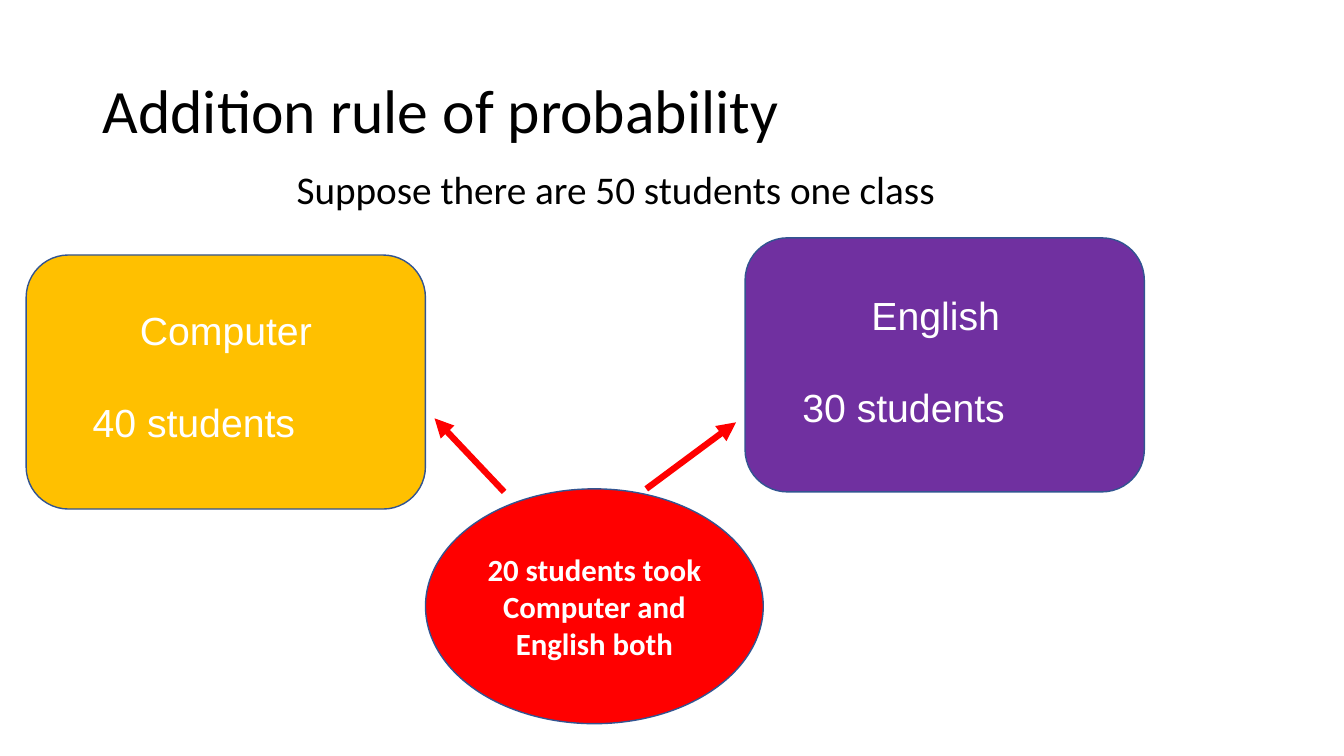
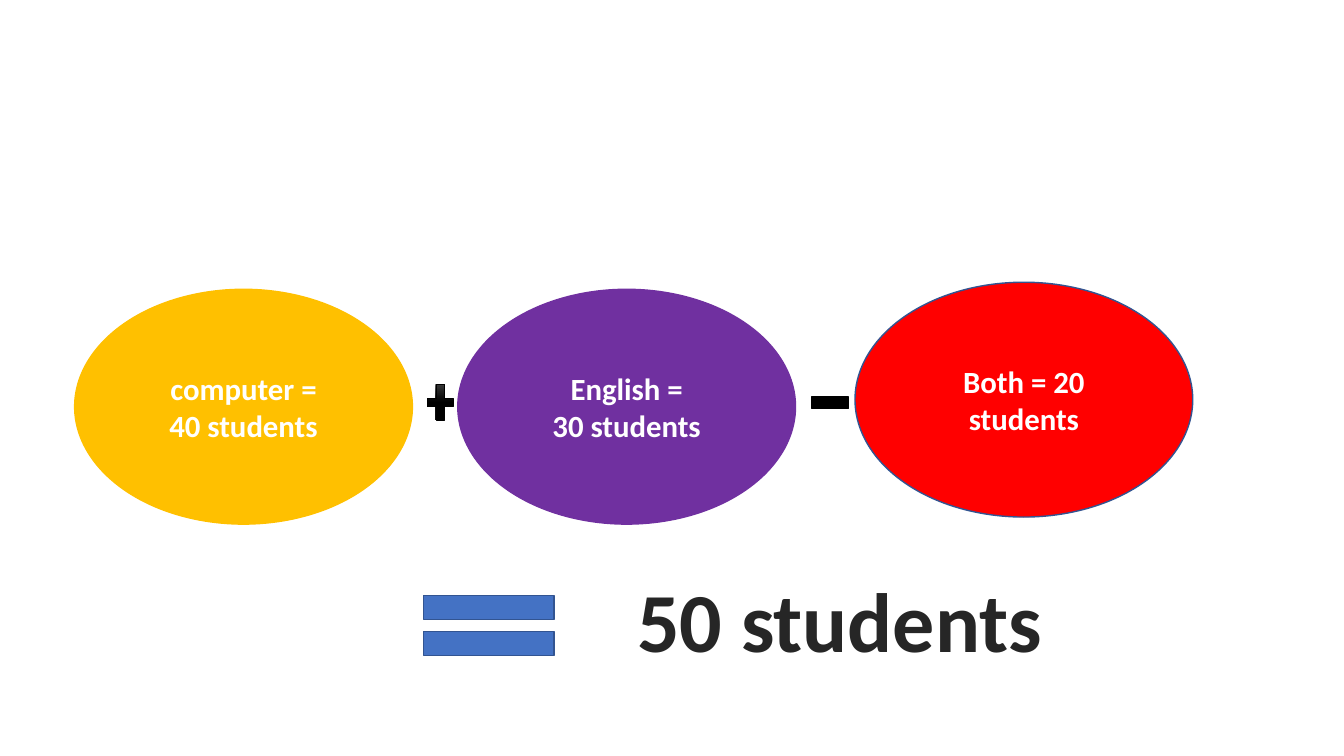
from dataclasses import dataclass

from lxml.etree import SubElement
from pptx import Presentation
from pptx.dml.color import RGBColor
from pptx.enum.shapes import MSO_CONNECTOR, MSO_SHAPE
from pptx.enum.text import MSO_ANCHOR, PP_ALIGN
from pptx.oxml import parse_xml
from pptx.oxml.ns import nsdecls, qn
from pptx.util import Inches, Pt


@dataclass(frozen=True)
class Theme:
    computer: str = "FFC000"
    english: str = "7030A0"
    both: str = "FF0000"
    equals: str = "4472C4"
    outline: str = "325491"
    black: str = "000000"
    sheen: str = "4B4B4B"
    answer: str = "262626"
    white: str = "FFFFFF"
    font: str = "Calibri"
    label_font: str = "Arial"
    title_size: int = 44
    label_size: int = 28
    oval_size: int = 22
    answer_size: int = 60


THEME = Theme()
OVAL_SIZE = (3.35, 2.33)
CARD_SIZE = (3.96, 2.52)
LABEL_SIZE = (2.84, 1.51)

# Content: position first, then text and colours
TITLE = "Addition rule of probability"
PREMISE = "Suppose there are 50 students one class"
CARDS = [  # card corner, label corner, subject, count, fill
    ((0.26, 2.53), (0.82, 2.99), "Computer", "40 students", THEME.computer),
    ((7.39, 2.36), (7.86, 2.84), "English", "30 students", THEME.english),
]
OVERLAP = ((4.22, 4.85), ["20 students took Computer and English both"], THEME.both, THEME.outline)
ARROWS = [((5, 4.88), (4.31, 4.15)), ((6.41, 4.85), (7.3, 4.19))]
TERMS = [
    ((0.74, 2.87), ["computer =", "40 students"], THEME.computer, THEME.computer),
    ((4.54, 2.87), ["English =", "30 students"], THEME.english, THEME.english),
    ((8.48, 2.8), ["Both = 20 students"], THEME.both, THEME.outline),
]
ANSWER = "50 students"


def color(value):
    return RGBColor.from_string(value)


def add_shape(slide, kind, corner, size, fill, line, line_width=1):
    shape = slide.shapes.add_shape(kind, *map(Inches, corner + size))
    shape.shadow.inherit = False
    shape.fill.solid()
    shape.fill.fore_color.rgb = color(fill)
    shape.line.color.rgb = color(line)
    shape.line.width = Pt(line_width)
    return shape


def write(frame, lines, size, text_color, font=THEME.font, bold=False,
          align=PP_ALIGN.LEFT, anchor=MSO_ANCHOR.TOP, spacing=1.0):
    frame.word_wrap = True
    frame.vertical_anchor = anchor
    frame.text = "\n".join(lines)
    for paragraph in frame.paragraphs:
        paragraph.alignment = align
        paragraph.line_spacing = spacing
        paragraph.font.name = font
        paragraph.font.size = Pt(size)
        paragraph.font.bold = bold
        paragraph.font.color.rgb = color(text_color)


def add_text(slide, corner, size, lines, *style, **options):
    frame = slide.shapes.add_textbox(*map(Inches, corner + size)).text_frame
    write(frame, lines, *style, **options)
    return frame


def add_oval(slide, corner, lines, fill, line):
    oval = add_shape(slide, MSO_SHAPE.OVAL, corner, OVAL_SIZE, fill, line)
    write(oval.text_frame, lines, THEME.oval_size, THEME.white, bold=True,
          align=PP_ALIGN.CENTER, anchor=MSO_ANCHOR.MIDDLE)


def add_card(slide, corner, label_corner, subject, count, fill):
    add_shape(slide, MSO_SHAPE.ROUNDED_RECTANGLE, corner, CARD_SIZE, fill, THEME.outline)
    frame = add_text(slide, label_corner, LABEL_SIZE, [subject, count], THEME.label_size,
                     THEME.white, font=THEME.label_font)
    subject_line, count_line = frame.paragraphs
    subject_line.alignment = PP_ALIGN.CENTER
    count_line.alignment = PP_ALIGN.JUSTIFY
    count_line.space_before = Pt(32)


def add_arrow(slide, start, end):
    arrow = slide.shapes.add_connector(MSO_CONNECTOR.STRAIGHT, *map(Inches, start + end))
    arrow.line.color.rgb = color(THEME.both)
    arrow.line.width = Pt(4.5)
    SubElement(arrow.line._get_or_add_ln(), qn("a:tailEnd"), type="triangle")
    SubElement(arrow._element.spPr, qn("a:effectLst"))


def build_rule_slide(slide):
    add_text(slide, (0.92, 0.4), (11.5, 1.45), [TITLE], THEME.title_size, THEME.black,
             anchor=MSO_ANCHOR.MIDDLE, spacing=0.9)
    add_text(slide, (1.51, 1.64), (9.19, 0.65), [PREMISE], THEME.label_size, THEME.black,
             align=PP_ALIGN.CENTER, spacing=0.9)
    for card in CARDS:
        add_card(slide, *card)
    add_oval(slide, *OVERLAP)
    for start, end in ARROWS:
        add_arrow(slide, start, end)


def build_sum_slide(slide):
    for term in TERMS:
        add_oval(slide, *term)

    # Operators between the terms
    plus = add_shape(slide, MSO_SHAPE.MATH_PLUS, (4.19, 3.75), (0.35, 0.48),
                     THEME.black, THEME.black, 0.5)
    plus.fill.gradient()
    plus.fill.gradient_angle = 270
    for stop, position, value in zip(plus.fill.gradient_stops, (0, 0.5),
                                     (THEME.sheen, THEME.black)):
        stop.position = position
        stop.color.rgb = color(value)
    add_shape(slide, MSO_SHAPE.MATH_MINUS, (7.98, 3.75), (0.5, 0.49), THEME.black, THEME.black)

    # Result
    add_shape(slide, MSO_SHAPE.MATH_EQUAL, (3.97, 5.7), (1.76, 1.01), THEME.equals, THEME.outline)
    frame = add_text(slide, (6.22, 5.59), (4.26, 1.11), [ANSWER], THEME.answer_size,
                     THEME.answer, bold=True)
    frame.word_wrap = False
    text_outline = parse_xml(
        f'<a:ln {nsdecls("a")} w="{Pt(1.06)}"><a:solidFill>'
        f'<a:srgbClr val="{THEME.white}"/></a:solidFill></a:ln>')
    frame.paragraphs[0].runs[0]._r.get_or_add_rPr().insert(0, text_outline)


def main():
    presentation = Presentation()
    presentation.slide_width = Inches(13.33)
    presentation.slide_height = Inches(7.5)
    blank = presentation.slide_layouts[6]
    for build in (build_rule_slide, build_sum_slide):
        build(presentation.slides.add_slide(blank))
    presentation.save("out.pptx")


if __name__ == "__main__":
    main()
